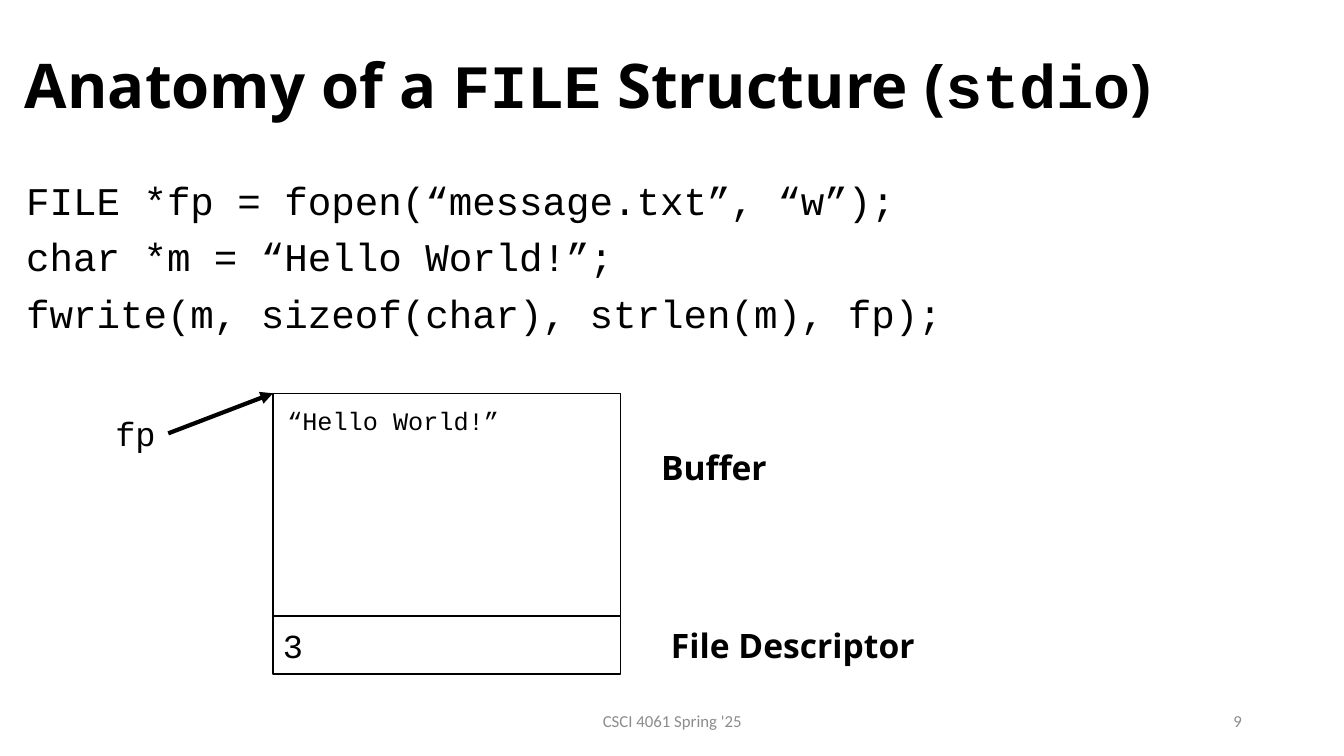
from dataclasses import dataclass

from lxml.etree import SubElement
from pptx import Presentation
from pptx.dml.color import RGBColor
from pptx.enum.shapes import MSO_CONNECTOR, MSO_SHAPE
from pptx.enum.text import MSO_ANCHOR, PP_ALIGN
from pptx.oxml.ns import qn
from pptx.util import Cm, Pt


@dataclass(frozen=True)
class Theme:
    """Colours, fonts and type sizes of the slide."""
    ink: RGBColor = RGBColor(0x00, 0x00, 0x00)
    muted: RGBColor = RGBColor(0x8C, 0x8C, 0x8C)
    sans: str = "Noto Sans"
    mono: str = "Courier New"
    footer_font: str = "Calibri"
    title: int = 44
    code: int = 28
    label: int = 24
    content: int = 18
    footer: int = 12


THEME = Theme()


def add_run(p, text, font, size, bold=False, color=THEME.ink):
    """Append one formatted run to a paragraph."""
    r = p.add_run()
    r.text = text
    r.font.name, r.font.size, r.font.bold = font, Pt(size), bold
    r.font.color.rgb = color


def add_text(slide, box, lines, size, bold=False, color=THEME.ink,
             align=PP_ALIGN.LEFT, anchor=MSO_ANCHOR.TOP, spacing=None, before=0):
    """Add a text box; each line is a list of (text, font) runs."""
    tf = slide.shapes.add_textbox(*map(Cm, box)).text_frame
    tf.word_wrap, tf.vertical_anchor = True, anchor
    for i, runs in enumerate(lines):
        p = tf.add_paragraph() if i else tf.paragraphs[0]
        p.alignment, p.line_spacing, p.space_before = align, spacing, Pt(before)
        for text, font in runs:
            add_run(p, text, font, size, bold, color)


def add_field(slide, box, text=""):
    """Add one outlined field of the structure, with an optional value."""
    sp = slide.shapes.add_shape(MSO_SHAPE.RECTANGLE, *map(Cm, box))
    sp.shadow.inherit = False
    sp.fill.background()
    sp.line.color.rgb, sp.line.width = THEME.ink, Pt(1)
    if text:
        sp.text_frame.vertical_anchor = MSO_ANCHOR.MIDDLE
        p = sp.text_frame.paragraphs[0]
        p.alignment = PP_ALIGN.LEFT
        add_run(p, text, THEME.mono, THEME.label)


def add_arrow(slide, start, end):
    """Add a thick arrow between two points."""
    cx = slide.shapes.add_connector(MSO_CONNECTOR.STRAIGHT, *map(Cm, start + end))
    cx.line.color.rgb, cx.line.width = THEME.ink, Pt(3)
    SubElement(cx.line._get_or_add_ln(), qn("a:tailEnd"), type="triangle")
    SubElement(cx._element.spPr, qn("a:effectLst"))


def main():
    """Build the slide and save it."""
    prs = Presentation()
    prs.slide_width, prs.slide_height = Cm(33.87), Cm(19.05)
    slide = prs.slides.add_slide(prs.slide_layouts[6])
    sans, mono = THEME.sans, THEME.mono

    title = [("Anatomy of a ", sans), ("FILE", mono), (" Structure (", sans),
             ("stdio", mono), (")", sans)]
    add_text(slide, (0.38, 0.38, 32.56, 3.68), [title], THEME.title, bold=True,
             anchor=MSO_ANCHOR.MIDDLE, spacing=0.9)

    code = ["FILE *fp = fopen(“message.txt”, “w”);",
            "char *m = “Hello World!”;",
            "fwrite(m, sizeof(char), strlen(m), fp);"]
    add_text(slide, (0.41, 4.45, 32.54, 4.7), [[(line, mono)] for line in code],
             THEME.code, spacing=0.9, before=10)

    for left, width, text, align in [
            (11.23, 11.43, "CSCI 4061 Spring '25", PP_ALIGN.CENTER),
            (23.93, 7.62, "9", PP_ALIGN.RIGHT)]:
        add_text(slide, (left, 17.65, width, 1.02), [[(text, THEME.footer_font)]],
                 THEME.footer, color=THEME.muted, align=align,
                 anchor=MSO_ANCHOR.MIDDLE)

    left, top, width, buffer_h, descriptor_h = 6.88, 9.91, 8.76, 5.61, 1.47
    add_text(slide, (2.59, 10.29, 1.65, 1.27), [[("fp", mono)]], THEME.label,
             align=PP_ALIGN.CENTER)
    add_text(slide, (6.99, 10.08, 6.07, 1.02), [[("“Hello World!”", mono)]],
             THEME.content)
    add_field(slide, (left, top, width, buffer_h))
    add_field(slide, (left, top + buffer_h, width, descriptor_h), "3")
    add_arrow(slide, (4.24, 10.92), (left, top))

    for x, y, name in [(16.41, 11.13, "Buffer"), (16.66, 15.62, "File Descriptor")]:
        add_text(slide, (x, y, 7.52, 1.27), [[(name, sans)]], THEME.label, bold=True)

    prs.save("out.pptx")


main()
